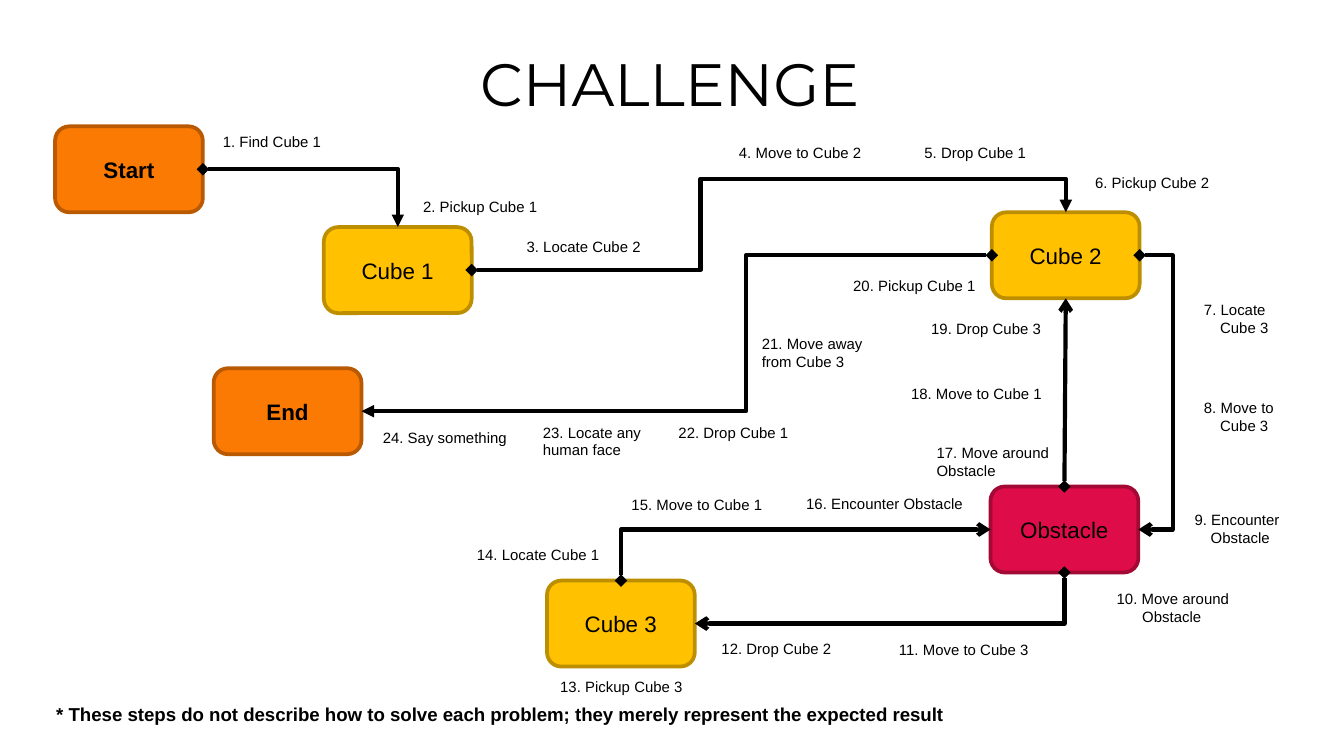
from lxml.etree import SubElement
from pptx import Presentation
from pptx.dml.color import RGBColor
from pptx.enum.shapes import MSO_CONNECTOR, MSO_SHAPE
from pptx.enum.text import MSO_ANCHOR, MSO_AUTO_SIZE, PP_ALIGN
from pptx.oxml.ns import qn
from pptx.util import Pt

PX = 9144  # EMU per px, 100 px to the inch
SLIDE_W = 1000
NODE_W, NODE_H = 110, 64
TOP, LEFT, BOTTOM, RIGHT = range(4)

COLORS = {
    "ink": "000000",
    "cube": "FFC100", "cube edge": "BD8F00",
    "terminal": "FA7A04", "terminal edge": "B95A03",
    "obstacle": "DE0C48", "obstacle edge": "A40935",
}

# name: left, top, role
NODES = {
    "Cube 2": (738, 158, "cube"),
    "Start": (41, 94, "terminal"),
    "Obstacle": (737, 362, "obstacle"),
    "Cube 1": (241, 169, "cube"),
    "Cube 3": (407, 432, "cube"),
    "End": (159, 274, "terminal"),
}

# from, side, to, side, arrowhead, x of the vertical leg, y of the extra level leg
ROUTES = [
    ("Start", RIGHT, "Cube 1", TOP, "triangle", None, None),
    ("Cube 2", RIGHT, "Obstacle", RIGHT, "arrow", 873, None),
    ("Obstacle", BOTTOM, "Cube 3", RIGHT, "arrow", None, None),
    ("Cube 3", TOP, "Obstacle", LEFT, "arrow", None, None),
    ("Cube 1", RIGHT, "Cube 2", TOP, "triangle", 521, 133),
    ("Cube 2", LEFT, "End", RIGHT, "triangle", 555, None),
]

# left, top, width, lines, indent of the second line
STEPS = [
    (156, 94, 94, ["1. Find Cube 1"], 0),
    (305, 142, 106, ["2. Pickup Cube 1"], 0),
    (382, 172, 106, ["3. Locate Cube 2"], 0),
    (540, 102, 113, ["4. Move to Cube 2"], 0),
    (678, 102, 97, ["5. Drop Cube 1"], 0),
    (805, 124, 106, ["6. Pickup Cube 2"], 0),
    (886, 219, 69, ["7. Locate", "Cube 3"], 12),
    (886, 292, 73, ["8. Move to", "Cube 3"], 12),
    (879, 375, 84, ["9. Encounter", "Obstacle"], 12),
    (821, 434, 105, ["10. Move around", "Obstacle"], 19),
    (659, 472, 119, ["11. Move to Cube 3"], 0),
    (527, 471, 103, ["12. Drop Cube 2"], 0),
    (407, 499, 113, ["13. Pickup Cube 3"], 0),
    (345, 401, 113, ["14. Locate Cube 1"], 0),
    (460, 364, 119, ["15. Move to Cube 1"], 0),
    (590, 363, 138, ["16. Encounter Obstacle"], 0),
    (687, 325, 105, ["17. Move around", "Obstacle"], 0),
    (668, 281, 119, ["18. Move to Cube 1"], 0),
    (683, 233, 103, ["19. Drop Cube 3"], 0),
    (625, 201, 113, ["20. Pickup Cube 1"], 0),
    (557, 244, 96, ["21. Move away", "from Cube 3"], 0),
    (495, 310, 103, ["22. Drop Cube 1"], 0),
    (394, 310, 95, ["23. Locate any", "human face"], 0),
    (275, 314, 114, ["24. Say something"], 0),
]


def color(name):
    return RGBColor.from_string(COLORS[name])


def style(paragraph, size, bold=False, face="Arial"):
    font = paragraph.font
    font.name, font.size, font.bold = face, Pt(size), bold
    font.color.rgb = color("ink")


def add_title(slide, text):
    title = slide.shapes.add_textbox(63 * PX, 45 * PX, 871 * PX, 29 * PX)
    frame = title.text_frame
    frame.word_wrap = True
    frame.margin_left = frame.margin_right = frame.margin_top = frame.margin_bottom = 0
    heading = frame.paragraphs[0]
    heading.text = text
    heading.alignment = PP_ALIGN.CENTER
    heading.line_spacing = 0.8
    style(heading, 32, face="Montserrat")


def add_node(slide, name, left, top, role):
    node = slide.shapes.add_shape(
        MSO_SHAPE.ROUNDED_RECTANGLE, left * PX, top * PX, NODE_W * PX, NODE_H * PX)
    node.shadow.inherit = False
    node.fill.solid()
    node.fill.fore_color.rgb = color(role)
    node.line.color.rgb = color(role + " edge")
    node.line.width = Pt(2)
    node.text_frame.vertical_anchor = MSO_ANCHOR.MIDDLE
    caption = node.text_frame.paragraphs[0]
    caption.text = name
    caption.alignment = PP_ALIGN.CENTER
    style(caption, 12, bold=role == "terminal")
    return node


def add_label(slide, left, top, width, lines, indent=0, size=8, bold=False):
    height = 24 if len(lines) == 1 else 37
    label = slide.shapes.add_textbox(left * PX, top * PX, width * PX, height * PX)
    frame = label.text_frame
    frame.word_wrap = False
    frame.auto_size = MSO_AUTO_SIZE.SHAPE_TO_FIT_TEXT
    frame.text = "\n".join(lines)
    for paragraph in frame.paragraphs:
        style(paragraph, size, bold)
    if indent:
        frame.paragraphs[1]._p.get_or_add_pPr().set("marL", str(indent * PX))


def add_link(slide, kind, start, start_side, end, end_side, arrowhead):
    link = slide.shapes.add_connector(kind, 0, 0, 0, 0)
    link.begin_connect(start, start_side)
    link.end_connect(end, end_side)
    link.line.color.rgb = color("ink")
    link.line.width = Pt(2.25)
    ln = link.line._get_or_add_ln()
    SubElement(ln, qn("a:headEnd"), type="diamond")
    SubElement(ln, qn("a:tailEnd"), type=arrowhead)
    SubElement(link._element.spPr, qn("a:effectLst"))
    return link


def turn_quarter(link):
    """Make a two-leg elbow leave its start vertically."""
    x0, y0, x1, y1 = link.begin_x, link.begin_y, link.end_x, link.end_y
    mid_x, mid_y = (x0 + x1) // 2, (y0 + y1) // 2
    half_x, half_y = (x1 - x0) // 2, (y1 - y0) // 2
    link.begin_x, link.end_x = mid_x - half_y, mid_x + half_y
    link.begin_y, link.end_y = mid_y + half_x, mid_y - half_x
    link._element.spPr.find(qn("a:xfrm")).set("rot", str(90 * 60000))


def add_elbow(slide, nodes, start, start_side, end, end_side, arrowhead, leg_x, leg_y):
    link = add_link(slide, MSO_CONNECTOR.ELBOW, nodes[start], start_side,
                    nodes[end], end_side, arrowhead)
    # Bends, as fractions of the span between the two ends
    bends = []
    if leg_x is not None:
        bends.append((leg_x * PX - link.begin_x) / (link.end_x - link.begin_x))
    if leg_y is not None:
        bends.append((leg_y * PX - link.begin_y) / (link.end_y - link.begin_y))
    geometry = link._element.spPr.find(qn("a:prstGeom"))
    geometry.set("prst", f"bentConnector{2 + len(bends)}")
    guides = geometry.find(qn("a:avLst"))
    for number, bend in enumerate(bends, 1):
        SubElement(guides, qn("a:gd"), name=f"adj{number}",
                   fmla=f"val {round(bend * 100000)}")
    if start_side in (TOP, BOTTOM):
        turn_quarter(link)


def main():
    prs = Presentation()
    prs.slide_width = SLIDE_W * PX
    prs.slide_height = SLIDE_W * PX * 9 // 16
    slide = prs.slides.add_slide(prs.slide_layouts[6])

    add_title(slide, "CHALLENGE")

    # Places and the routes between them
    nodes = {name: add_node(slide, name, *place) for name, place in NODES.items()}
    for route in ROUTES:
        add_elbow(slide, nodes, *route)
    add_link(slide, MSO_CONNECTOR.STRAIGHT, nodes["Obstacle"], TOP,
             nodes["Cube 2"], BOTTOM, "arrow")

    # Numbered steps and footnote
    for step in STEPS:
        add_label(slide, *step)
    add_label(slide, 32, 518, 686,
              ["* These steps do not describe how to solve each problem; "
               "they merely represent the expected result"], size=10, bold=True)

    prs.save("out.pptx")


if __name__ == "__main__":
    main()
